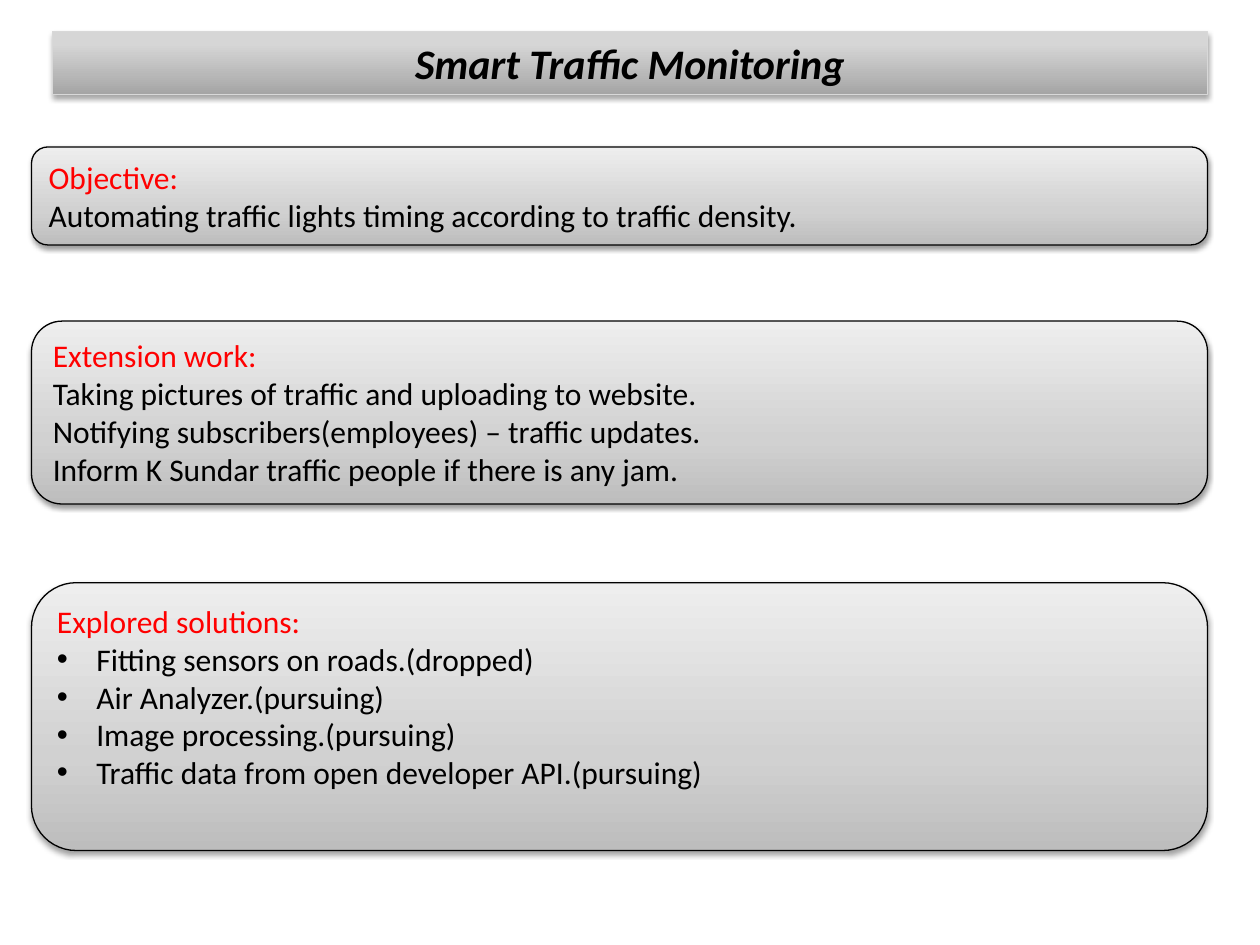
from lxml.etree import SubElement
from pptx import Presentation
from pptx.dml.color import RGBColor
from pptx.enum.shapes import MSO_SHAPE
from pptx.enum.text import MSO_ANCHOR, PP_ALIGN
from pptx.oxml.ns import qn
from pptx.util import Pt

RECT = MSO_SHAPE.RECTANGLE
ROUND = MSO_SHAPE.FLOWCHART_ALTERNATE_PROCESS
TOP, MIDDLE = MSO_ANCHOR.TOP, MSO_ANCHOR.MIDDLE
LEFT, CENTER = PP_ALIGN.LEFT, PP_ALIGN.CENTER
BLACK = RGBColor(0, 0, 0)
RED = RGBColor(255, 0, 0)
SILVER = RGBColor(0xD8, 0xD8, 0xD8)
BAR_FADE = [(0, RGBColor(0xA5, 0xA5, 0xA5)), (80, RGBColor(0xD6, 0xD6, 0xD6)),
            (100, RGBColor(0xD7, 0xD7, 0xD7))]
CARD_FADE = [(0, RGBColor(0xBD, 0xBD, 0xBD)), (35, RGBColor(0xD1, 0xD1, 0xD1)),
             (100, RGBColor(0xEE, 0xEE, 0xEE))]
FONT = "Calibri"
INDENT = 22.5

TITLE = "Smart Traffic Monitoring"
CARDS = [
    ((18, 84, 672, 56), "Objective:",
     ["Automating traffic lights timing according to traffic density."], False),
    ((18, 183.5, 672, 104.5), "Extension work:",
     ["Taking pictures of traffic and uploading to website.",
      "Notifying subscribers(employees) – traffic updates.",
      "Inform K Sundar traffic people if there is any jam."], False),
    ((18, 333, 672, 153), "Explored solutions:",
     ["Fitting sensors on roads.(dropped)",
      "Air Analyzer.(pursuing)",
      "Image processing.(pursuing)",
      "Traffic data from open developer API.(pursuing)"], True),
]


def add_fade(shape, stops):
    """Fill the shape with a gradient that runs from bottom to top."""
    shape.fill.gradient()
    shape.fill.gradient_angle = 90
    group = shape._element.spPr.find(qn("a:gradFill")).find(qn("a:gsLst"))
    for stop in list(group):
        group.remove(stop)
    for place, color in stops:
        stop = SubElement(group, qn("a:gs"), pos=str(place * 1000))
        SubElement(stop, qn("a:srgbClr"), val=str(color))


def add_shade(shape, drop, alpha):
    """Cast a soft black shadow straight down."""
    shape.shadow.inherit = False
    effects = shape._element.spPr.find(qn("a:effectLst"))
    shade = SubElement(effects, qn("a:outerShdw"), blurRad=str(Pt(3.1)),
                       dist=str(Pt(drop)), dir="5400000", rotWithShape="0")
    color = SubElement(shade, qn("a:srgbClr"), val=str(BLACK))
    SubElement(color, qn("a:alpha"), val=str(alpha * 1000))


def add_panel(slide, kind, box, fade, edge, drop, alpha):
    """Add a shaded panel in the box and return it."""
    panel = slide.shapes.add_shape(kind, *map(Pt, box))
    add_fade(panel, fade)
    panel.line.color.rgb = edge
    panel.line.width = Pt(0.75)
    add_shade(panel, drop, alpha)
    panel.text_frame.word_wrap = True
    return panel


def set_line(para, text, size, color, align):
    """Write one paragraph in the given size, colour and alignment."""
    para.text = text
    para.alignment = align
    para.font.name = FONT
    para.font.size = Pt(size)
    para.font.color.rgb = color


def add_bullet(para):
    """Give the paragraph a hanging bullet."""
    props = para._p.get_or_add_pPr()
    props.set("marL", str(Pt(INDENT)))
    props.set("indent", str(-Pt(INDENT)))
    mark = props.makeelement(qn("a:buChar"), {"char": "•"})
    face = props.makeelement(qn("a:buFont"), {"typeface": "Arial"})
    props.insert(0, face)
    props.insert(1, mark)


def add_title(slide, box):
    """Add the title bar in the box."""
    frame = add_panel(slide, RECT, box, BAR_FADE, SILVER, 1.8, 35).text_frame
    frame.vertical_anchor = MIDDLE
    para = frame.paragraphs[0]
    set_line(para, TITLE, 24, BLACK, CENTER)
    para.font.bold = para.font.italic = True


def add_card(slide, box, head, lines, listed):
    """Add a rounded card with a red heading over its lines."""
    frame = add_panel(slide, ROUND, box, CARD_FADE, BLACK, 1.6, 38).text_frame
    frame.vertical_anchor = TOP
    set_line(frame.paragraphs[0], head, 18, RED, LEFT)
    for text in lines:
        para = frame.add_paragraph()
        set_line(para, text, 18, BLACK, LEFT)
        if listed:
            add_bullet(para)


def main():
    """Build the slide and save it."""
    deck = Presentation()
    deck.slide_width, deck.slide_height = Pt(720), Pt(540)
    slide = deck.slides.add_slide(deck.slide_layouts[6])
    add_title(slide, (30, 18, 660, 36))
    for card in CARDS:
        add_card(slide, *card)
    deck.save("out.pptx")


if __name__ == "__main__":
    main()
